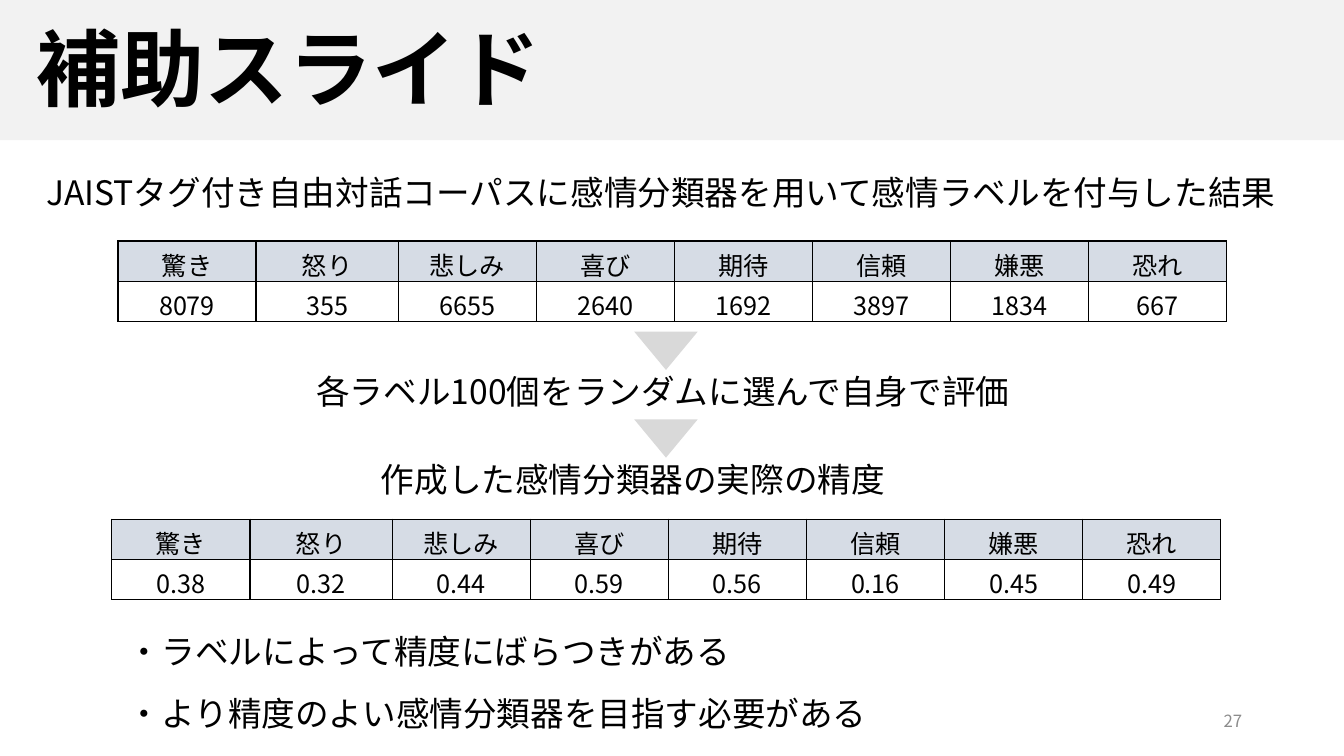
from lxml.etree import SubElement
from pptx import Presentation
from pptx.dml.color import RGBColor
from pptx.enum.shapes import MSO_SHAPE as Shape
from pptx.enum.text import MSO_ANCHOR as Anchor, MSO_AUTO_SIZE as AutoSize, PP_ALIGN as Align
from pptx.oxml.ns import qn
from pptx.util import Inches, Pt

WIDTH, HEIGHT = 13.33, 7.5
FONT = "Noto Sans CJK JP"
BLACK, HEADER, BAND, ARROW, GREY = "000000", "D6DCE5", "F2F2F2", "D9D9D9", "8C8C8C"

TITLE = "補助スライド"
PAGE = "27"
STATEMENTS = [  # text, left, top, width
    ("JAISTタグ付き自由対話コーパスに感情分類器を用いて感情ラベルを付与した結果", 0.36, 1.66, 12.65),
    ("各ラベル100個をランダムに選んで自身で評価", 3.04, 3.63, 7.76),
    ("作成した感情分類器の実際の精度", 3.68, 4.5, 7.76),
    ("・ラベルによって精度にばらつきがある", 1.17, 6.21, 7.76),
    ("・より精度のよい感情分類器を目指す必要がある", 1.17, 6.83, 10.93),
]
EMOTIONS = ["驚き", "怒り", "悲しみ", "喜び", "期待", "信頼", "嫌悪", "恐れ"]
TABLES = [  # left, top, values
    (1.17, 2.39, ["8079", "355", "6655", "2640", "1692", "3897", "1834", "667"]),
    (1.11, 5.15, ["0.38", "0.32", "0.44", "0.59", "0.56", "0.16", "0.45", "0.49"]),
]
COLUMNS = [1.37, 1.41] + [1.37] * 6
ROW = 0.4
ARROW_TOPS = [3.29, 4.16]


def color(value):
    return RGBColor.from_string(value)


def box(left, top, width, height):
    return [Inches(length) for length in (left, top, width, height)]


def write(frame, text, size, hue=BLACK, bold=False, align=Align.LEFT):
    paragraph = frame.paragraphs[0]
    paragraph.alignment = align
    run = paragraph.add_run()
    run.text = text
    for name, value in {"size": Pt(size), "bold": bold, "name": FONT}.items():
        setattr(run.font, name, value)
    run.font.color.rgb = color(hue)
    SubElement(run.font._element, qn("a:ea"), typeface=FONT)


def add_text(slide, place, text, size, anchor=Anchor.TOP, grow=True, **style):
    frame = slide.shapes.add_textbox(*box(*place)).text_frame
    frame.word_wrap = True
    frame.vertical_anchor = anchor
    frame.auto_size = AutoSize.SHAPE_TO_FIT_TEXT if grow else AutoSize.NONE
    write(frame, text, size, **style)


def add_filled(slide, kind, place, fill):
    shape = slide.shapes.add_shape(kind, *box(*place))
    shape.shadow.inherit = False
    shape.fill.solid()
    shape.fill.fore_color.rgb = color(fill)
    shape.line.fill.background()
    return shape


def add_borders(cell):
    """Draw thin black lines on all four sides; borders precede the fill."""
    properties = cell._tc.get_or_add_tcPr()
    for index, side in enumerate(("lnL", "lnR", "lnT", "lnB")):
        line = SubElement(properties, qn(f"a:{side}"), w=str(Pt(1)))
        fill = SubElement(line, qn("a:solidFill"))
        SubElement(fill, qn("a:srgbClr"), val=BLACK)
        properties.insert(index, line)


def add_emotion_table(slide, left, top, values):
    rows = [EMOTIONS, values]
    place = box(left, top, sum(COLUMNS), ROW * len(rows))
    table = slide.shapes.add_table(len(rows), len(COLUMNS), *place).table
    table.first_row = table.horz_banding = False
    for column, width in zip(table.columns, COLUMNS):
        column.width = Inches(width)
    for r, texts in enumerate(rows):
        table.rows[r].height = Inches(ROW)
        for c, text in enumerate(texts):
            cell = table.cell(r, c)
            if r == 0:
                cell.fill.solid()
                cell.fill.fore_color.rgb = color(HEADER)
            else:
                cell.fill.background()
            add_borders(cell)
            write(cell.text_frame, text, 18, align=Align.CENTER)


def add_title(slide):
    title = slide.shapes.title
    title.left, title.top, title.width, title.height = box(0.26, 0.11, 7.3, 1.11)
    title.text_frame.vertical_anchor = Anchor.TOP
    title.text_frame.auto_size = AutoSize.SHAPE_TO_FIT_TEXT
    write(title.text_frame, TITLE, 60, bold=True)
    band = add_filled(slide, Shape.RECTANGLE, (0, 0, WIDTH, 1.39), BAND)
    title.element.addprevious(band.element)


def main():
    presentation = Presentation()
    presentation.slide_width, presentation.slide_height = Inches(WIDTH), Inches(HEIGHT)
    slide = presentation.slides.add_slide(presentation.slide_layouts[5])
    add_title(slide)
    for text, *place in STATEMENTS:
        add_text(slide, (*place, 0.5), text, 24)
    for table in TABLES:
        add_emotion_table(slide, *table)
    for top in ARROW_TOPS:
        add_filled(slide, Shape.ISOSCELES_TRIANGLE, (6.29, top, 0.63, 0.38), ARROW).rotation = 180
    add_text(slide, (9.42, 6.95, 3, 0.4), PAGE, 12, Anchor.MIDDLE, grow=False,
             hue=GREY, align=Align.RIGHT)
    presentation.save("out.pptx")


if __name__ == "__main__":
    main()
